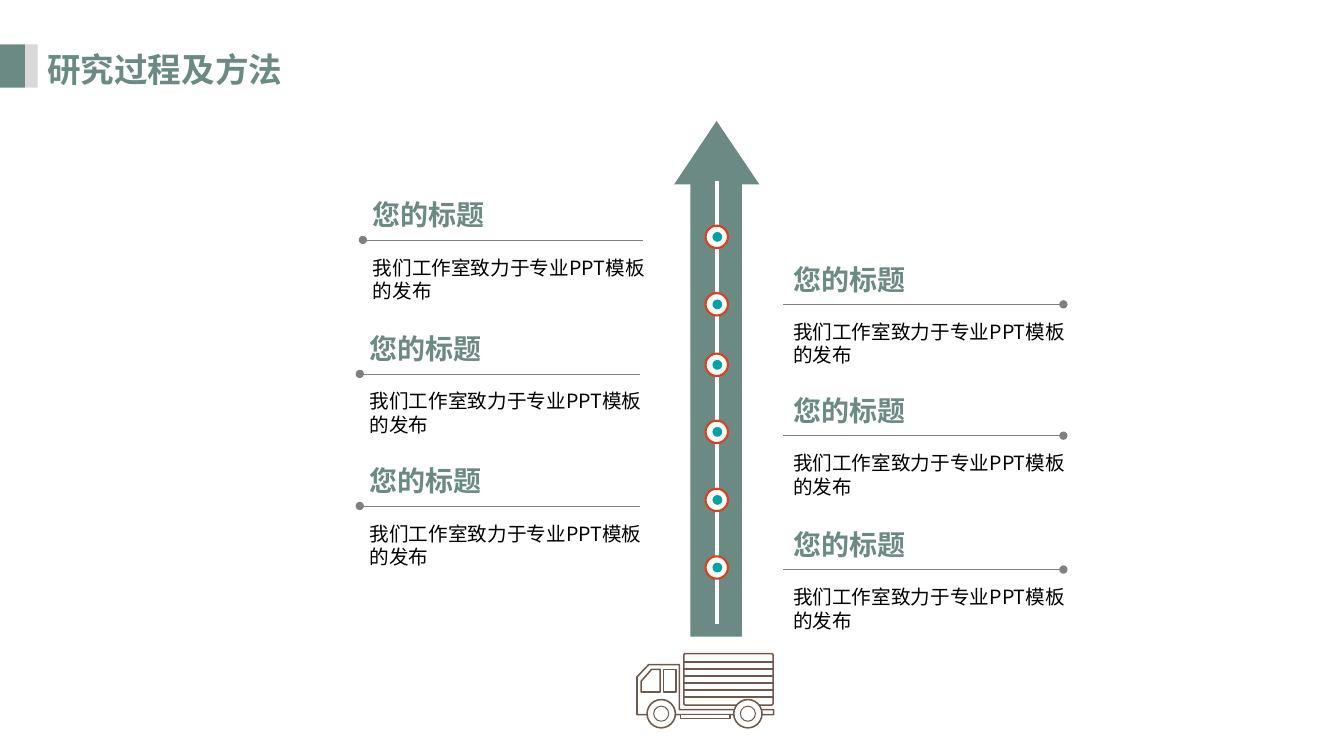
from lxml import etree
from pptx import Presentation
from pptx.dml.color import RGBColor
from pptx.enum import shapes, text
from pptx.oxml import ns
from pptx.util import Pt

HEADING = "研究过程及方法"
ENTRY_TITLE = "您的标题"
ENTRY_BODY = "我们工作室致力于专业PPT模板的发布"
FONT = "Noto Sans CJK SC"
COLORS = {
    "green": "6B8A84", "light": "D9D9D9", "rule": "808080", "black": "000000",
    "white": "FFFFFF", "red": "DE3F19", "teal": "01A2A6", "brown": "70584B",
}

RULE_LENGTH = 200.2
ENTRIES = [
    {"x": 259.2, "y": 171.4, "width": 213.8, "side": "left"},
    {"x": 257, "y": 267.1, "width": 210.2, "side": "left"},
    {"x": 257, "y": 361.4, "width": 210.2, "side": "left"},
    {"x": 559.4, "y": 217.4, "width": 210.2, "side": "right"},
    {"x": 559.4, "y": 311.2, "width": 210.2, "side": "right"},
    {"x": 559.4, "y": 406.8, "width": 210.2, "side": "right"},
]
ROAD_X = 512
STOPS = [169.2, 217.4, 260.6, 308.5, 357.1, 405.4]
ROAD = [(529.9, 454.7), (529.9, 131.8), (542.5, 131.8), (511.9, 86.4),
        (481.5, 131.8), (493.2, 131.8), (493.2, 454.7)]

CAB = [(455, 483.5), (463.3, 474.8), (485.3, 474.8), (485.3, 506.9),
       (552.6, 506.9), (552.6, 510.5), (455, 510.5)]
SIDE_WINDOW = [(457.9, 486.7), (465.5, 478.1), (471.6, 478.1),
               (471.6, 494.3), (457.9, 494.3)]
DOOR_WINDOW = (474.1, 478.1, 9, 16.2)
STEP = (486, 510.5, 35.3, 2.9)
CARGO = (488.5, 466.9, 63.7, 36.7)
SLATS = 6
SLAT_TOP, SLAT_GAP = 473, 5
WHEELS = [472.3, 534.2]
WHEEL_Y = 509.8

prs = Presentation()
prs.slide_width, prs.slide_height = Pt(960), Pt(540)
s = prs.slides.add_slide(prs.slide_layouts[6])


def rgb(name):
    return RGBColor.from_string(COLORS[name])


def paint(sp, fill, line=None, weight=1.1):
    sp.shadow.inherit = False
    sp.fill.solid()
    sp.fill.fore_color.rgb = rgb(fill)
    if line:
        sp.line.color.rgb = rgb(line)
        sp.line.width = Pt(weight)
    else:
        sp.line.fill.background()


def add_shape(parent, kind, box, *style):
    sp = parent.shapes.add_shape(kind, *map(Pt, box))
    paint(sp, *style)
    return sp


def add_circle(parent, x, y, size, *style):
    box = (x - size / 2, y - size / 2, size, size)
    add_shape(parent, shapes.MSO_SHAPE.OVAL, box, *style)


def add_outline(parent, points, *style):
    points = [(Pt(x), Pt(y)) for x, y in points]
    builder = parent.shapes.build_freeform(*points[0])
    builder.add_line_segments(points[1:], close=True)
    paint(builder.convert_to_shape(), *style)


def add_line(parent, start, end, color, weight, dot=False):
    sp = parent.shapes.add_connector(
        shapes.MSO_CONNECTOR.STRAIGHT, *map(Pt, start + end))
    sp.line.color.rgb = rgb(color)
    sp.line.width = Pt(weight)
    if dot:
        etree.SubElement(sp.line._get_or_add_ln(), ns.qn("a:tailEnd"), type="oval")
    etree.SubElement(sp._element.spPr, ns.qn("a:effectLst"))


def add_text(parent, box, words, size, color, bold=False):
    tf = parent.shapes.add_textbox(*map(Pt, box)).text_frame
    tf.word_wrap = True
    tf.auto_size = text.MSO_AUTO_SIZE.SHAPE_TO_FIT_TEXT
    r = tf.paragraphs[0].add_run()
    r.text = words
    r.font.size, r.font.bold, r.font.name = Pt(size), bold, FONT
    r.font.color.rgb = rgb(color)
    etree.SubElement(r.font._element, ns.qn("a:ea"), typeface=FONT)


def add_truck():
    truck = s.shapes.add_group_shape()
    style = ("white", "brown")
    add_outline(truck, CAB, *style)
    add_outline(truck, SIDE_WINDOW, *style)
    add_shape(truck, shapes.MSO_SHAPE.RECTANGLE, DOOR_WINDOW, *style)
    add_shape(truck, shapes.MSO_SHAPE.RECTANGLE, STEP, *style)
    cargo = add_shape(truck, shapes.MSO_SHAPE.ROUNDED_RECTANGLE, CARGO, *style)
    cargo.adjustments[0] = 0.03
    left, right = CARGO[0], CARGO[0] + CARGO[2]
    for i in range(SLATS):
        y = SLAT_TOP + i * SLAT_GAP
        add_line(truck, (left, y), (right, y), "brown", 1.1)
    for x in WHEELS:
        add_circle(truck, x, WHEEL_Y, 20.2, *style)
        add_circle(truck, x, WHEEL_Y, 10.8, *style, 0.7)


def add_road():
    add_outline(s, ROAD, "green")
    add_line(s, (ROAD_X, 129.6), (ROAD_X, 445.7), "white", 3)
    for y in STOPS:
        stop = s.shapes.add_group_shape()
        add_circle(stop, ROAD_X, y, 16, "white", "red", 1.5)
        add_circle(stop, ROAD_X + 0.4, y, 7, "teal")


def add_entry(x, y, width, side):
    ends = [(x, y), (x + RULE_LENGTH, y)]
    if side == "left":
        ends.reverse()
    add_line(s, *ends, "rule", 0.5, dot=True)
    add_text(s, (x, y - 33.7, 100, 31.5), ENTRY_TITLE, 20, "green", True)
    add_text(s, (x, y + 7.5, width, 41.2), ENTRY_BODY, 14, "black")


def add_header():
    header = s.shapes.add_group_shape()
    add_text(header, (26.6, 31.7, 199.4, 36.3), HEADING, 24, "green", True)
    for box, color in [((0, 31.7, 18, 31), "green"), ((18, 31.7, 9, 31), "light")]:
        add_shape(header, shapes.MSO_SHAPE.RECTANGLE, box, color)


add_truck()
add_road()
for entry in ENTRIES:
    add_entry(**entry)
add_header()
prs.save("out.pptx")
